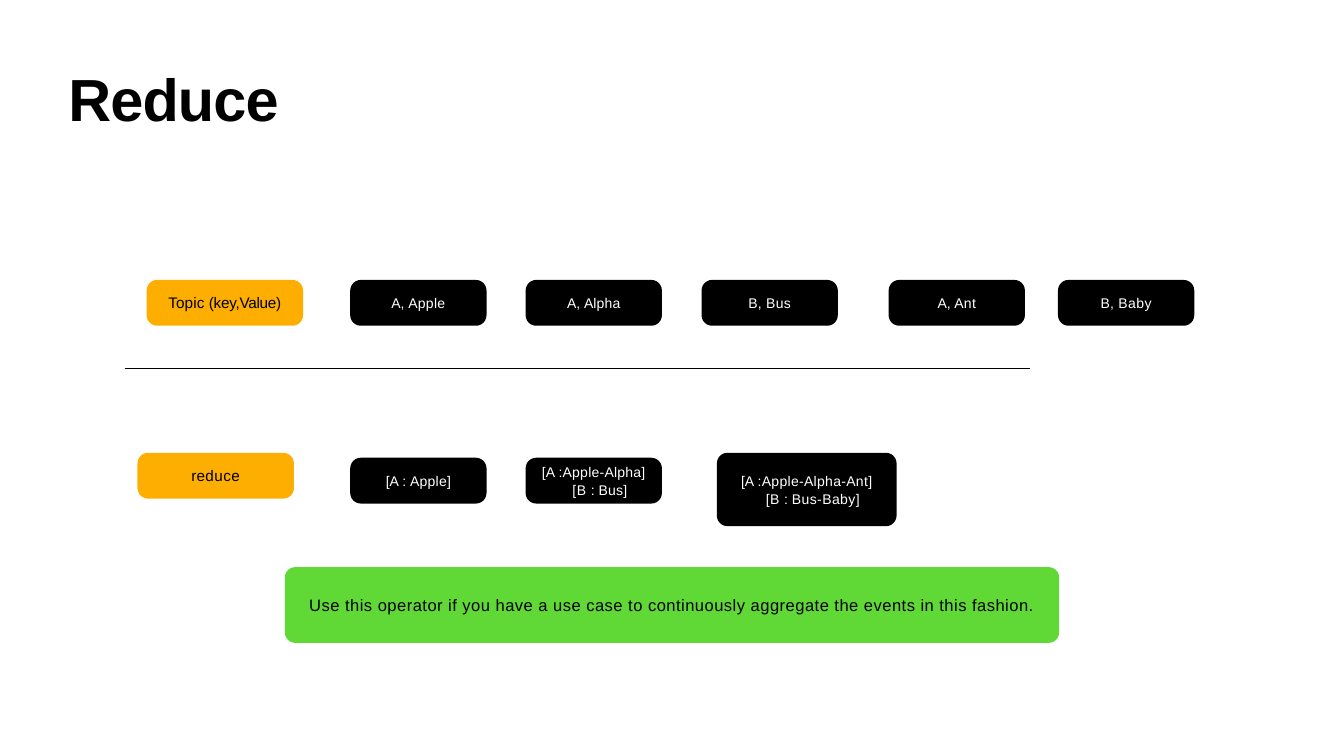
import pptx
import pptx.util
import pptx.dml.color
import pptx.enum.shapes
import pptx.enum.text
import pptx.oxml

RGB = pptx.dml.color.RGBColor
BLACK = RGB(0x00, 0x00, 0x00)
WHITE = RGB(0xFF, 0xFF, 0xFF)
AMBER = RGB(0xFE, 0xAE, 0x00)
GREEN = RGB(0x60, 0xD9, 0x37)

WIDE, HIGH = 10.14, 6.06
TOP, LOW = 37.03, 60.55
COLS = [26.06, 39.11, 52.2, 66.12, 78.72]

EVENTS = [
    [("A, ", -0.1), ("Apple", 0.4)],
    [("A, ", -0.1), ("Alpha", 0.2)],
    [("B, ", 0.3), ("Bus", 0.4)],
    [("A, ", -0.1), ("Ant", 0.3)],
    [("B, ", 0.3), ("Baby", 0.5)],
]
FIRST = [[("[A ", 0.1), (": ", 0), ("Apple]", 0.3)]]
SECOND = [
    [("[A ", 0.1), (":Apple-Alpha]", 0.3)],
    [("[B ", 0.5), (": ", 0), ("Bus]", 0.3)],
]
THIRD = [
    [("[A ", 0.1), (":Apple-Alpha-Ant]", 0.4)],
    [("[B ", 0.5), (": ", 0), ("Bus-Baby]", 0.5)],
]
ADVICE = ("Use this operator if you have a use case to continuously "
          "aggregate the events in this fashion.")


class Deck:
    """Style and current slide, measured on a grid of 100 columns and rows."""

    font = "Arial"
    curve = 1.4
    shift = 0.2

    def __init__(self, wide, high):
        self.file = pptx.Presentation()
        self.file.slide_width = pptx.util.Inches(wide)
        self.file.slide_height = pptx.util.Inches(high)
        self.slide = self.file.slides.add_slide(self.file.slide_layouts[5])

    def col(self, count):
        return round(self.file.slide_width * count / 100)

    def row(self, count):
        return round(self.file.slide_height * count / 100)

    def label(self, para, runs, size, color, bold=False):
        for text, space in runs:
            run = para.add_run()
            run.text = text
            run.font.name = self.font
            run.font.size = pptx.util.Pt(size)
            run.font.bold = bold
            run.font.color.rgb = color
            run._r.get_or_add_rPr().set("spc", str(round(space * 100)))

    def frame(self, shape, anchor):
        frame = shape.text_frame
        frame.margin_left = frame.margin_right = 0
        frame.margin_top = frame.margin_bottom = 0
        frame.vertical_anchor = anchor
        frame.word_wrap = True
        return frame

    def title(self, text, left, top, wide, high):
        shape = self.slide.shapes.title
        shape.left, shape.top = self.col(left), self.row(top)
        shape.width, shape.height = self.col(wide), self.row(high)
        frame = self.frame(shape, pptx.enum.text.MSO_ANCHOR.BOTTOM)
        frame.auto_size = pptx.enum.text.MSO_AUTO_SIZE.NONE
        para = frame.paragraphs[0]
        para.alignment = pptx.enum.text.PP_ALIGN.LEFT
        self.label(para, [(text, -1)], 70, BLACK, True)

    def box(self, lines, left, top, wide=WIDE, high=HIGH,
            fill=BLACK, color=WHITE, size=16.5):
        shape = self.slide.shapes.add_shape(
            pptx.enum.shapes.MSO_SHAPE.ROUNDED_RECTANGLE,
            self.col(left), self.row(top), self.col(wide), self.row(high))
        shape.adjustments[0] = self.curve / high
        shape.shadow.inherit = False
        shape.fill.solid()
        shape.fill.fore_color.rgb = fill
        shape.line.fill.background()
        frame = self.frame(shape, pptx.enum.text.MSO_ANCHOR.MIDDLE)
        for index, runs in enumerate(lines):
            para = frame.add_paragraph() if index else frame.paragraphs[0]
            para.alignment = pptx.enum.text.PP_ALIGN.CENTER
            if index:
                indent = pptx.util.Inches(self.shift)
                para._p.get_or_add_pPr().set("marL", str(indent))
            if len(lines) > 1:
                para.line_spacing = 1.04
            self.label(para, runs, size, color)

    def rule(self, start, end, top):
        line = self.slide.shapes.add_connector(
            pptx.enum.shapes.MSO_CONNECTOR.STRAIGHT,
            self.col(start), self.row(top), self.col(end), self.row(top))
        line.line.color.rgb = BLACK
        line.line.width = pptx.util.Pt(1.65)
        line._element.spPr.append(
            pptx.oxml.parse_xml(
                '<a:effectLst xmlns:a="http://schemas.openxmlformats.org/'
                'drawingml/2006/main"/>'))


def main():
    deck = Deck(21.99, 12.37)
    deck.title("Reduce", 5.09, 8, 16.4, 9.7)

    topic = [("Topic ", 0.1), ("(key,Value)", -0.3)]
    deck.box([topic], 10.91, TOP, 11.64, fill=AMBER, color=BLACK, size=18)
    for left, event in zip(COLS, EVENTS):
        deck.box([event], left, TOP)

    deck.rule(9.28, 76.67, 48.75)

    reduce = [("r", 0), ("educe", 0.5)]
    deck.box([reduce], 10.23, 59.9, 11.64, fill=AMBER, color=BLACK, size=18)
    deck.box(FIRST, COLS[0], LOW)
    deck.box(SECOND, COLS[1], LOW)
    deck.box(THIRD, 53.34, 59.9, 13.37, 9.7)

    deck.box([[(ADVICE, 0.55)]], 21.19, 75.02, 57.62, 10.02,
             fill=GREEN, color=BLACK, size=19.5)
    deck.file.save("out.pptx")


if __name__ == "__main__":
    main()
